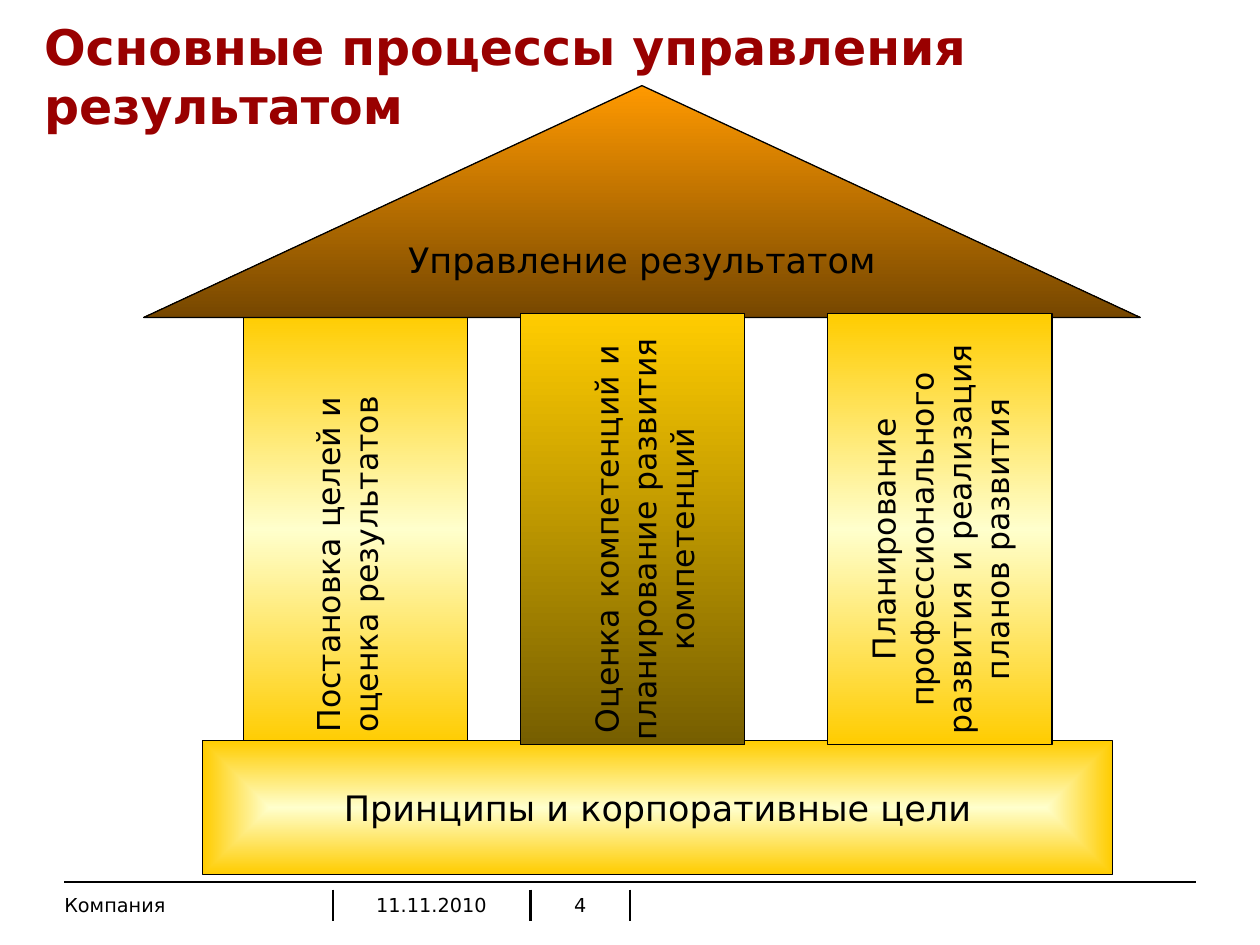
"""Build the slide showing result management as a temple on three pillars."""

from dataclasses import dataclass

from lxml import etree
from pptx import Presentation
from pptx import util as u
from pptx.dml.color import RGBColor
from pptx.enum import shapes, text
from pptx.oxml.ns import qn

FONT = "DejaVu Sans"
BLACK = RGBColor(0x00, 0x00, 0x00)
CRIMSON = RGBColor(0x99, 0x00, 0x00)
GOLD = RGBColor(0xFF, 0xCC, 0x00)
DARK_GOLD = RGBColor(0x76, 0x5E, 0x00)
CREAM = RGBColor(0xFF, 0xFF, 0xCC)
ORANGE = RGBColor(0xFF, 0x99, 0x00)
BROWN = RGBColor(0x76, 0x47, 0x00)

COLUMNS, ROWS = 100, 75
WIDTH, HEIGHT = u.Inches(10), u.Inches(7.5)
PILLAR_TOP, PILLAR_WIDTH, PILLAR_HEIGHT = 24.9, 17.8, 34.2
FOOTER_TOP, FOOTER_HEIGHT = 70, 4.2


@dataclass(frozen=True)
class Box:
    """A rectangle in grid columns and rows."""

    left: float
    top: float
    width: float
    height: float

    def lengths(self) -> tuple[int, int, int, int]:
        """Return the rectangle in slide units."""
        return (column(self.left), row(self.top), column(self.width), row(self.height))


@dataclass(frozen=True)
class Block:
    """A filled part of the temple."""

    box: Box
    colors: tuple[RGBColor, ...]
    label: str = ""
    kind: int = shapes.MSO_SHAPE.RECTANGLE
    from_center: bool = False


@dataclass(frozen=True)
class PillarLabel:
    """Upright text, placed by its centre and thickness."""

    lines: str
    center_column: float
    center_row: float
    thickness: float


@dataclass(frozen=True)
class FooterField:
    """A field of the footer between two columns."""

    label: str
    left: float
    right: float
    alignment: int = text.PP_ALIGN.CENTER
    inset: float = 0.1


BLOCKS = (
    Block(Box(19.3, PILLAR_TOP, PILLAR_WIDTH, PILLAR_HEIGHT), (GOLD, CREAM, GOLD)),
    Block(Box(16.1, 58.8, 72.2, 10.6), (CREAM, GOLD),
          "Принципы и корпоративные цели", from_center=True),
    Block(Box(11.4, 6.8, 79.1, 18.4), (ORANGE, BROWN),
          "Управление результатом", shapes.MSO_SHAPE.ISOSCELES_TRIANGLE),
    Block(Box(41.3, PILLAR_TOP, PILLAR_WIDTH, PILLAR_HEIGHT), (GOLD, DARK_GOLD)),
    Block(Box(65.7, PILLAR_TOP, PILLAR_WIDTH, PILLAR_HEIGHT), (GOLD, CREAM, GOLD)),
)
PILLAR_LABELS = (
    PillarLabel("Постановка целей и\nоценка результатов", 27.5, 44.8, 7),
    PillarLabel("Оценка компетенций и планирование развития компетенций", 51.1, 42.8, 10),
    PillarLabel("Планирование профессионального развития и реализация планов развития",
                74.6, 42.8, 13),
)
FOOTER_FIELDS = (
    FooterField("11.11.2010", 26.4, 42.1),
    FooterField("4", 42.1, 50),
    FooterField("Компания", 3.9, 26.4, text.PP_ALIGN.LEFT, 0.12),
)


def column(count: float) -> int:
    """Convert grid columns to a length."""
    return round(WIDTH * count / COLUMNS)


def row(count: float) -> int:
    """Convert grid rows to a length."""
    return round(HEIGHT * count / ROWS)


def write(shape, content: str, size: float, color: RGBColor = BLACK,
          alignment: int = text.PP_ALIGN.CENTER, bold: bool = False) -> None:
    """Fill a shape with formatted text."""
    shape.text_frame.text = content
    for paragraph in shape.text_frame.paragraphs:
        paragraph.alignment = alignment
        for run in paragraph.runs:
            run.font.name = FONT
            run.font.size = u.Pt(size)
            run.font.bold = bold
            run.font.color.rgb = color


def fill_gradient(shape, colors: tuple[RGBColor, ...], from_center: bool) -> None:
    """Spread colours evenly downwards, or outwards from the centre."""
    shape.fill.gradient()
    gradient = shape._element.spPr.find(qn("a:gradFill"))
    for child in list(gradient):
        gradient.remove(child)
    stops = etree.SubElement(gradient, qn("a:gsLst"))
    for index, color in enumerate(colors):
        position = 100000 * index // (len(colors) - 1)
        stop = etree.SubElement(stops, qn("a:gs"), pos=str(position))
        etree.SubElement(stop, qn("a:srgbClr"), val=str(color))
    if from_center:
        route = etree.SubElement(gradient, qn("a:path"), path="rect")
        sides = dict.fromkeys("ltrb", "50000")
        etree.SubElement(route, qn("a:fillToRect"), **sides)
    else:
        etree.SubElement(gradient, qn("a:lin"), ang="5400000", scaled="0")


def add_block(slide, block: Block) -> None:
    """Draw one part of the temple."""
    shape = slide.shapes.add_shape(block.kind, *block.box.lengths())
    shape.shadow.inherit = False
    fill_gradient(shape, block.colors, block.from_center)
    shape.line.color.rgb = BLACK
    shape.line.width = u.Pt(0.75)
    if block.label:
        shape.text_frame.word_wrap = False
        shape.text_frame.vertical_anchor = text.MSO_ANCHOR.MIDDLE
        write(shape, block.label, 20)


def add_pillar_label(slide, label: PillarLabel) -> None:
    """Write text that reads upwards along a pillar."""
    box = Box(label.center_column - PILLAR_HEIGHT / 2,
              label.center_row - label.thickness / 2, PILLAR_HEIGHT, label.thickness)
    shape = slide.shapes.add_textbox(*box.lengths())
    shape.rotation = 270
    shape.text_frame.word_wrap = True
    write(shape, label.lines, 18)


def add_footer_field(slide, field: FooterField) -> None:
    """Write one field of the footer."""
    box = Box(field.left, FOOTER_TOP, field.right - field.left, FOOTER_HEIGHT)
    shape = slide.shapes.add_textbox(*box.lengths())
    shape.text_frame.word_wrap = True
    shape.text_frame.margin_left = u.Inches(field.inset)
    shape.text_frame.margin_top = u.Inches(0.09)
    write(shape, field.label, 11, alignment=field.alignment)


def add_rule(slide, left: float, top: float, right: float, bottom: float) -> None:
    """Draw a thin black line."""
    rule = slide.shapes.add_connector(
        shapes.MSO_CONNECTOR.STRAIGHT, column(left), row(top), column(right), row(bottom))
    rule.line.color.rgb = BLACK
    rule.line.width = u.Pt(1.25)
    etree.SubElement(rule._element.spPr, qn("a:effectLst"))


def set_title(slide, content: str) -> None:
    """Move and format the title placeholder."""
    title = slide.shapes.title
    title.left, title.top, title.width, title.height = Box(2.5, 0.8, 93.3, 10.4).lengths()
    title.text_frame.word_wrap = True
    title.text_frame.auto_size = text.MSO_AUTO_SIZE.NONE
    title.text_frame.vertical_anchor = text.MSO_ANCHOR.TOP
    write(title, content, 28, CRIMSON, text.PP_ALIGN.LEFT, bold=True)


def main() -> None:
    """Build and save the presentation."""
    presentation = Presentation()
    presentation.slide_width, presentation.slide_height = WIDTH, HEIGHT
    slide = presentation.slides.add_slide(presentation.slide_layouts[5])
    set_title(slide, "Основные процессы управления результатом")
    add_rule(slide, 5.1, FOOTER_TOP, 94.9, FOOTER_TOP)
    for position in (26.4, 42.1, 50):
        add_rule(slide, position, FOOTER_TOP + 0.6, position, FOOTER_TOP + 3.1)
    for block in BLOCKS:
        add_block(slide, block)
    for label in PILLAR_LABELS:
        add_pillar_label(slide, label)
    for field in FOOTER_FIELDS:
        add_footer_field(slide, field)
    presentation.save("out.pptx")


if __name__ == "__main__":
    main()
